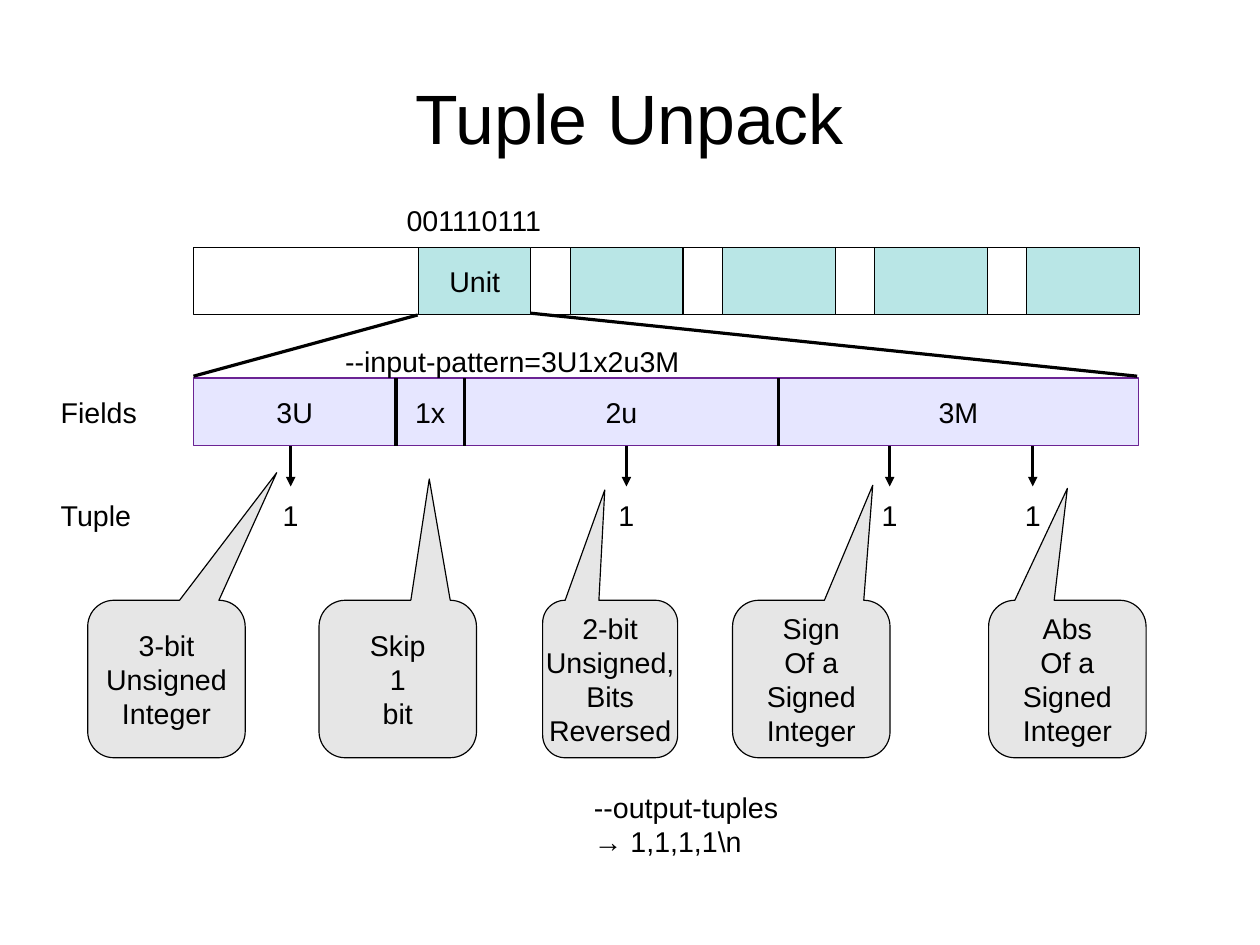
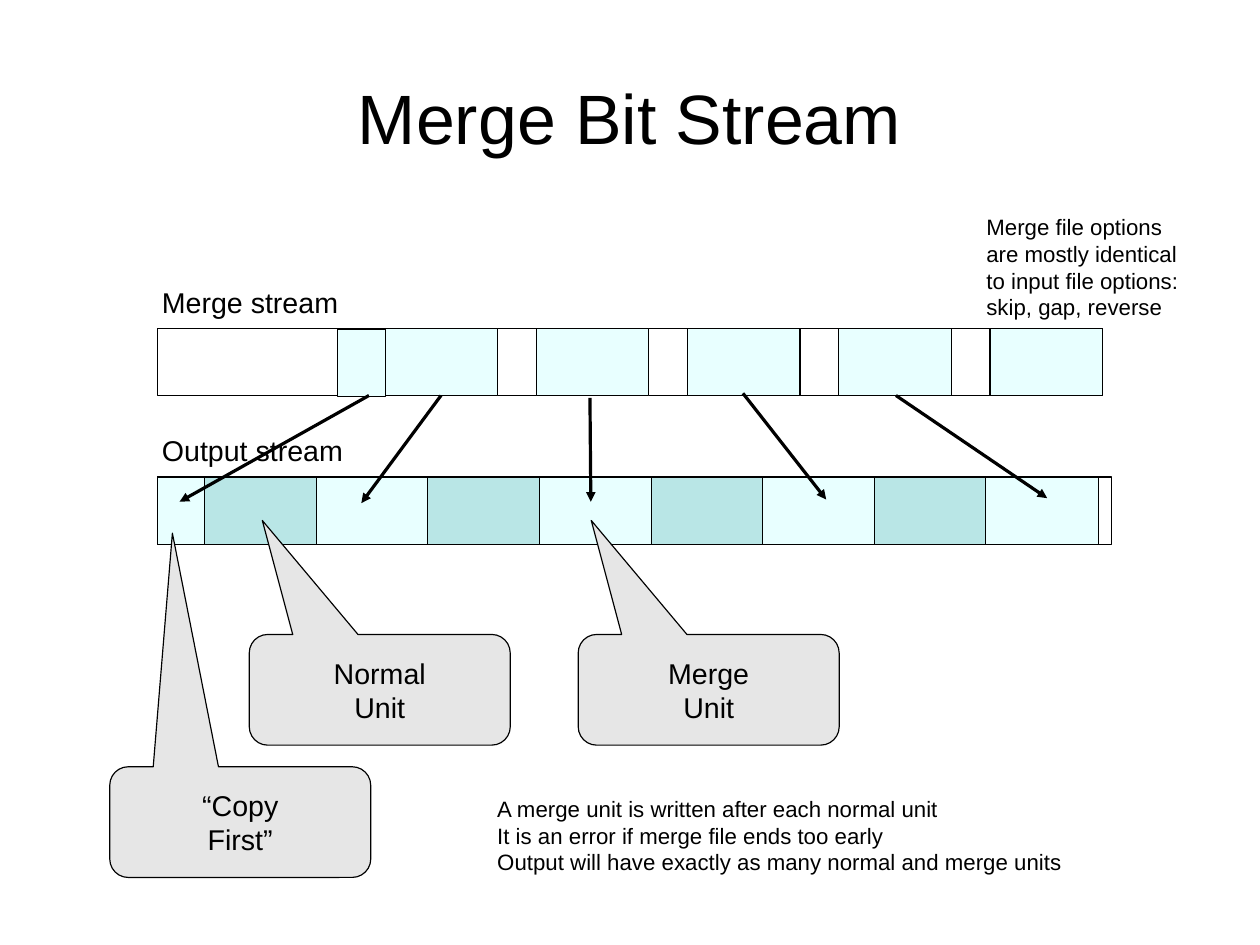
"""Build two slides on tuple unpacking and bit stream merging."""
from dataclasses import dataclass
from itertools import pairwise
from typing import Any, NamedTuple

from lxml import etree
from pptx import Presentation
from pptx import util as u
from pptx.dml.color import RGBColor
from pptx.enum import shapes, text
from pptx.oxml import ns

LEFT, MID = text.PP_ALIGN.LEFT, text.PP_ALIGN.CENTER


@dataclass(frozen=True)
class Theme:
    """Colours, font and type sizes of the deck."""
    ink: str = "000000"
    unit: str = "B9E6E6"
    merge: str = "E8FFFF"
    field: str = "E6E6FF"
    edge: str = "6B2394"
    note: str = "E6E6E6"
    font: str = "Arial"
    head: int = 44
    body: int = 18
    small: int = 14


class Box(NamedTuple):
    """A frame in centimetres."""
    x: float
    y: float
    w: float
    h: float


class Label(NamedTuple):
    """Plain text in a frame."""
    words: str
    box: Box
    size: int
    align: Any = LEFT


class Line(NamedTuple):
    """A straight line, with or without an arrowhead."""
    x1: float
    y1: float
    x2: float
    y2: float
    arrow: bool = False


class Note(NamedTuple):
    """A callout with the offset of its tip."""
    words: str
    box: Box
    dx: float
    dy: float


LOOK = Theme()
BAR = 1.5
UNIT = 2.5
ROW = 0.97


def put(item: Any, vals: dict[str, Any]) -> None:
    """Set each named value on the item."""
    for name, val in vals.items():
        setattr(item, name, val)


def cm(*vals: float) -> list[int]:
    """Turn centimetres into lengths."""
    return [u.Cm(val) for val in vals]


def write(shape: Any, words: str, size: int, align: Any, frame: dict[str, Any]) -> None:
    """Fill a shape with styled text."""
    put(shape.text_frame, {"text": words} | frame)
    for para in shape.text_frame.paragraphs:
        para.alignment = align
        for run in para.runs:
            put(run.font, {"name": LOOK.font, "size": u.Pt(size)})
            run.font.color.rgb = RGBColor.from_string(LOOK.ink)


def stroke(line: Any, tint: str = LOOK.ink) -> None:
    """Draw a hairline."""
    line.color.rgb = RGBColor.from_string(tint)
    line.width = u.Pt(0)


def block(slide: Any, box: Box, fill: str = "", edge: str = LOOK.ink,
          kind: Any = shapes.MSO_SHAPE.RECTANGLE) -> Any:
    """Add an outlined shape."""
    shape = slide.shapes.add_shape(kind, *cm(*box))
    shape.shadow.inherit = False
    if fill:
        shape.fill.solid()
        shape.fill.fore_color.rgb = RGBColor.from_string(fill)
    else:
        shape.fill.background()
    stroke(shape.line, edge)
    return shape


def label(slide: Any, item: Label, anchor: Any = text.MSO_ANCHOR.TOP) -> None:
    """Add a text box."""
    write(slide.shapes.add_textbox(*cm(*item.box)), item.words, item.size, item.align,
          {"word_wrap": True, "vertical_anchor": anchor})


def centre(words: str, x: float, y: float) -> Label:
    """Make a one-row label centred on x."""
    return Label(words, Box(x - 2.25, y, 4.5, ROW), LOOK.body, MID)


def link(slide: Any, item: Line) -> None:
    """Add a line or arrow."""
    con = slide.shapes.add_connector(shapes.MSO_CONNECTOR.STRAIGHT,
                                     *cm(item.x1, item.y1, item.x2, item.y2))
    stroke(con.line)
    props = con.element.spPr
    if item.arrow:
        etree.SubElement(props.find(ns.qn("a:ln")), ns.qn("a:tailEnd"), type="triangle")
    etree.SubElement(props, ns.qn("a:effectLst"))


def callout(slide: Any, item: Note) -> None:
    """Add a callout with centred text."""
    shape = block(slide, item.box, LOOK.note, kind=shapes.MSO_SHAPE.ROUNDED_RECTANGULAR_CALLOUT)
    shape.adjustments[0], shape.adjustments[1] = item.dx, item.dy
    write(shape, item.words, LOOK.body, MID,
          {"word_wrap": False, "vertical_anchor": text.MSO_ANCHOR.MIDDLE})


def start(deck: Any, title: str) -> Any:
    """Add a blank slide with a title."""
    slide = deck.slides.add_slide(deck.slide_layouts[6])
    label(slide, Label(title, Box(1.4, 0.97, 25.2, 3.25), LOOK.head, MID),
          text.MSO_ANCHOR.MIDDLE)
    return slide


def units(slide: Any, x: float, y: float, step: float, fills: list[str]) -> list[Any]:
    """Add a row of evenly spaced units."""
    return [block(slide, Box(x + i * step, y, UNIT, BAR), fill) for i, fill in enumerate(fills)]


def unpack(deck: Any) -> None:
    """Draw the tuple slide."""
    slide = start(deck, "Tuple Unpack")
    left, right, top, low = 4.3, 25.3, 5.5, 8.4
    block(slide, Box(left, top, right - left, BAR))
    first = units(slide, 9.3, top, 3.38, [LOOK.unit] * 5)[0]
    write(first, "Unit", LOOK.body, MID, {"vertical_anchor": text.MSO_ANCHOR.MIDDLE})
    block(slide, Box(left, low, right - left, BAR), LOOK.field, LOOK.edge)

    cuts = [left, 8.8, 10.32, 17.3, right]
    spots = [6.46, 13.92, 19.77, 22.95]
    lines = [Line(9.28, 7, left, 8.36), Line(11.8, 6.96, 25.27, 8.36)]
    lines += [Line(x, low, x, low + BAR) for x in cuts[1:-1]]
    lines += [Line(x, 9.92, x, 10.81, True) for x in spots]
    for line in lines:
        link(slide, line)

    names = ["3U", "1x", "2u", "3M"]
    labels = [centre(name, (a + b) / 2, 8.65) for name, (a, b) in zip(names, pairwise(cuts))]
    labels += [centre("1", x, 10.95) for x in spots]
    labels += [
        centre("001110111", 10.53, 4.39),
        Label("--input-pattern=3U1x2u3M", Box(7.42, 7.52, 8.5, ROW), LOOK.body),
        Label("Fields", Box(1.1, 8.65, 2.6, ROW), LOOK.body),
        Label("Tuple", Box(1.1, 10.95, 2.6, ROW), LOOK.body),
        Label("--output-tuples\n→ 1,1,1,1\\n", Box(12.95, 17.42, 14.12, 1.68), LOOK.body),
    ]
    for item in labels:
        label(slide, item)

    y, side = 13.34, 3.5
    for note in (
        Note("3-bit\vUnsigned\vInteger", Box(1.95, y, side, side), 0.7, -1.31),
        Note("Skip\v1\vbit", Box(7.09, y, side, side), 0.2, -1.27),
        Note("2-bit\vUnsigned,\nBits\nReversed", Box(12.06, y, 3, side), -0.04, -1.2),
        Note("Sign\nOf a\nSigned\nInteger", Box(16.28, y, side, side), 0.39, -1.23),
        Note("Abs\nOf a\nSigned\nInteger", Box(21.97, y, side, side), 0, -1.21),
    ):
        callout(slide, note)


def merge(deck: Any) -> None:
    """Draw the merge slide."""
    slide = start(deck, "Merge Bit Stream")
    left, top, low, part = 3.5, 7.3, 10.6, 1.05
    block(slide, Box(left, top, 21, BAR))
    units(slide, 8.56, top, 3.36, [LOOK.merge] * 5)
    block(slide, Box(7.51, top + 0.02, part, BAR), LOOK.merge)
    block(slide, Box(left, low, 21.2, BAR))
    block(slide, Box(left, low, part, BAR), LOOK.merge)
    units(slide, left + part, low, 2.48, [LOOK.unit, LOOK.merge] * 4)

    for line in (
        Line(8.2, 8.79, 3.99, 11.15, True),
        Line(9.8, 8.79, 8.03, 11.18, True),
        Line(13.11, 8.84, 13.13, 11.15, True),
        Line(16.51, 8.74, 18.36, 11.1, True),
        Line(19.91, 8.79, 23.27, 11.07, True),
    ):
        link(slide, line)

    for item in (
        Label("Merge stream", Box(3.35, 6.2, 4.9, ROW), LOOK.body),
        Label("Output stream", Box(3.35, 9.5, 4.9, ROW), LOOK.body),
        Label("Merge file options\vare mostly identical to input file options:\n"
              "skip, gap, reverse", Box(21.67, 4.62, 5.2, 2.46), LOOK.small),
        Label("A merge unit is written after each normal unit\v"
              "It is an error if merge file ends too early\n"
              "Output will have exactly as many normal and merge units",
              Box(10.8, 17.55, 14.33, 1.9), LOOK.small),
    ):
        label(slide, item)

    wide, high = 5.8, 2.46
    for note in (
        Note("Normal\vUnit", Box(5.54, 14.1, wide, high), -0.45, -1.53),
        Note("Merge\vUnit", Box(12.85, 14.1, wide, high), -0.45, -1.53),
        Note("“Copy\vFirst”", Box(2.44, 17.04, wide, high), -0.26, -2.61),
    ):
        callout(slide, note)


def main() -> None:
    """Build and save the deck."""
    deck = Presentation()
    put(deck, {"slide_width": u.Cm(28), "slide_height": u.Cm(21)})
    unpack(deck)
    merge(deck)
    deck.save("out.pptx")


main()
